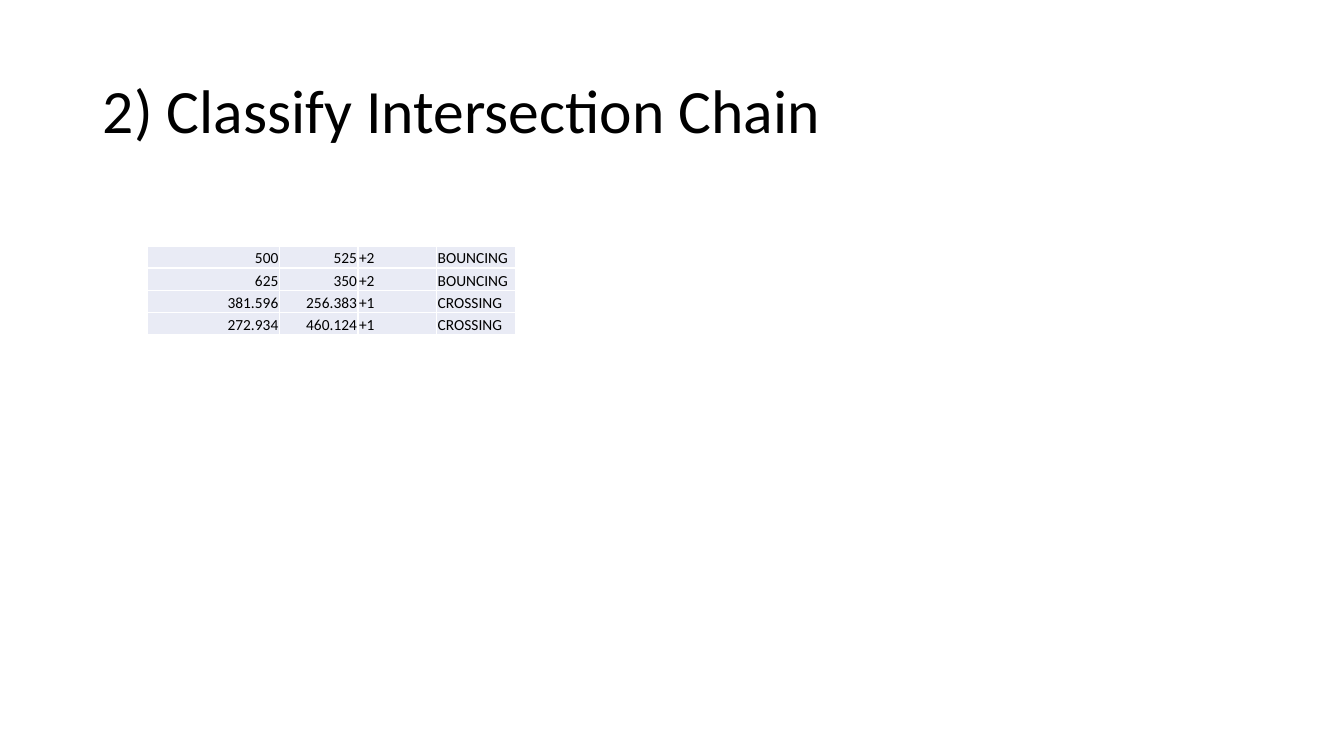
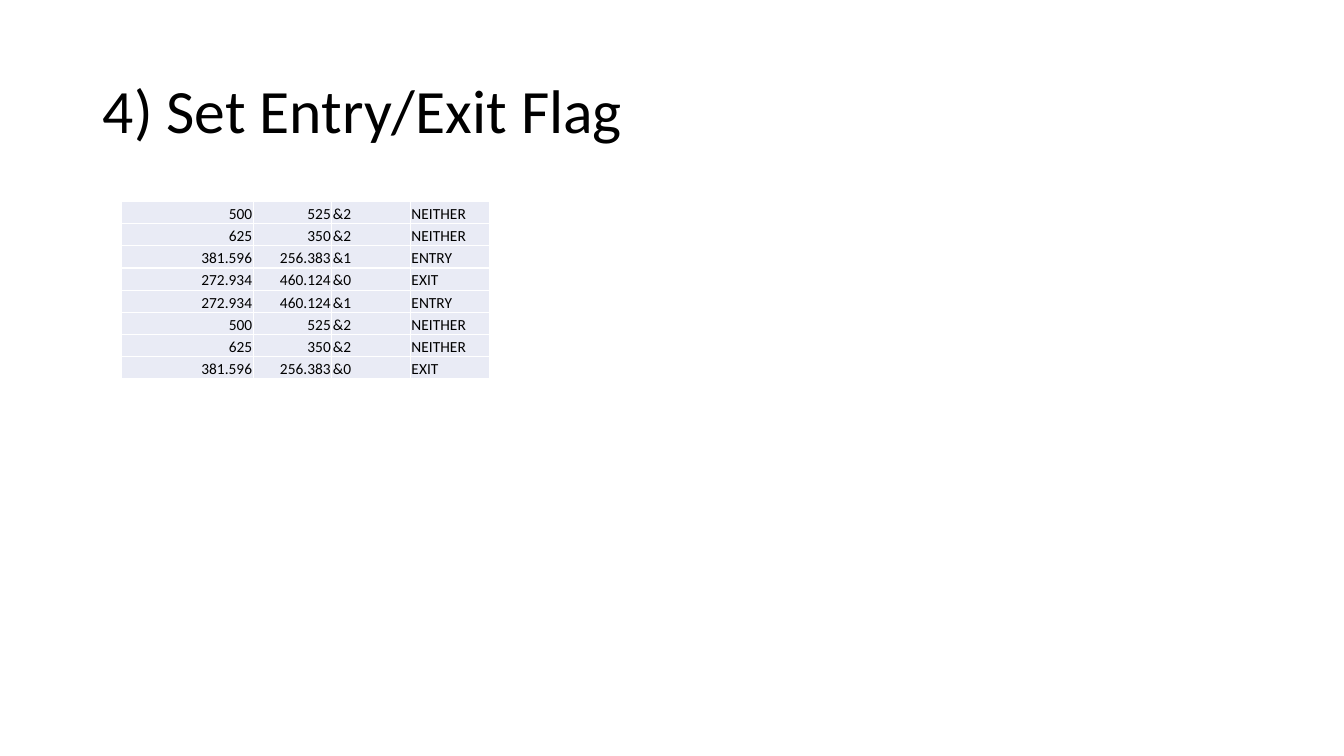
"""Build two slides that tabulate intersection points and their flags."""
from lxml import etree
from pptx import Presentation
from pptx.dml.color import RGBColor
from pptx.enum.text import MSO_ANCHOR, PP_ALIGN
from pptx.oxml.ns import qn
from pptx.util import Inches, Pt

LEFT, RIGHT = PP_ALIGN.LEFT, PP_ALIGN.RIGHT
MIDDLE, BOTTOM = MSO_ANCHOR.MIDDLE, MSO_ANCHOR.BOTTOM
TITLE_ONLY = 5

COLORS = {"text": "000000", "cell": "E9EBF5", "border": "FFFFFF"}
FONT = "Calibri"
COLUMN, ROW = 0.26, 0.22
TITLE_BOX = (3.54, 1.82, 44.23, 6.59)
TABLE_COLUMNS = (5.04, 3, 3, 3)
ALIGNMENTS = (RIGHT, RIGHT, LEFT, LEFT)
CELL_INSET = Inches(0.01)
BORDER_WIDTH = Pt(1)

P1, P2 = ("500", "525"), ("625", "350")
P3, P4 = ("381.596", "256.383"), ("272.934", "460.124")
BOUNCING, CROSSING = ("+2", "BOUNCING"), ("+1", "CROSSING")
NEITHER, ENTRY, EXIT = ("&2", "NEITHER"), ("&1", "ENTRY"), ("&0", "EXIT")

PAGES = [
    ("2) Classify Intersection Chain", (5.62, 11.09),
     [P1 + BOUNCING, P2 + BOUNCING, P3 + CROSSING, P4 + CROSSING]),
    ("4) Set Entry/Exit Flag", (4.62, 9.09),
     [P1 + NEITHER, P2 + NEITHER, P3 + ENTRY, P4 + EXIT,
      P4 + ENTRY, P1 + NEITHER, P2 + NEITHER, P3 + EXIT]),
]


def across(columns):
    """Return the width of a number of grid columns."""
    return Inches(columns * COLUMN)


def down(rows):
    """Return the height of a number of grid rows."""
    return Inches(rows * ROW)


def write(frame, text, size, align=LEFT, spacing=None):
    """Write one formatted paragraph into a text frame."""
    para = frame.paragraphs[0]
    para.alignment = align
    para.line_spacing = spacing
    span = para.add_run()
    span.text = text
    span.font.name = FONT
    span.font.size = Pt(size)
    span.font.color.rgb = RGBColor.from_string(COLORS["text"])


def add_title(page, text):
    """Place and fill the title placeholder."""
    title = page.shapes.title
    left, top, width, height = TITLE_BOX
    title.left, title.top = across(left), down(top)
    title.width, title.height = across(width), down(height)
    title.text_frame.word_wrap = True
    title.text_frame.vertical_anchor = MIDDLE
    write(title.text_frame, text, size=44, spacing=0.9)


def add_borders(cell):
    """Draw a thin line on each side of a cell."""
    properties = cell._tc.get_or_add_tcPr()
    for side in ("a:lnL", "a:lnR", "a:lnT", "a:lnB"):
        line = etree.SubElement(properties, qn(side), w=str(BORDER_WIDTH))
        fill = etree.SubElement(line, qn("a:solidFill"))
        etree.SubElement(fill, qn("a:srgbClr"), val=COLORS["border"])


def fill_cell(cell, text, align):
    """Format one table cell and write its text."""
    cell.margin_left = cell.margin_right = cell.margin_top = CELL_INSET
    cell.margin_bottom = 0
    cell.vertical_anchor = BOTTOM
    add_borders(cell)
    cell.fill.solid()
    cell.fill.fore_color.rgb = RGBColor.from_string(COLORS["cell"])
    write(cell.text_frame, text, size=11, align=align)


def add_point_table(page, place, records):
    """Add a table with one row for each intersection point."""
    left, top = place
    table = page.shapes.add_table(
        len(records), len(TABLE_COLUMNS), across(left), down(top),
        across(sum(TABLE_COLUMNS)), down(len(records))).table
    table.first_row = table.horz_banding = False
    for column, width in zip(table.columns, TABLE_COLUMNS):
        column.width = across(width)
    for row, record in zip(table.rows, records):
        row.height = down(1)
        for cell, text, align in zip(row.cells, record, ALIGNMENTS):
            fill_cell(cell, text, align)


def main():
    """Build and save the deck."""
    deck = Presentation()
    deck.slide_width, deck.slide_height = Inches(13.33), Inches(7.5)
    for title, place, records in PAGES:
        page = deck.slides.add_slide(deck.slide_layouts[TITLE_ONLY])
        add_title(page, title)
        add_point_table(page, place, records)
    deck.save("out.pptx")


if __name__ == "__main__":
    main()
